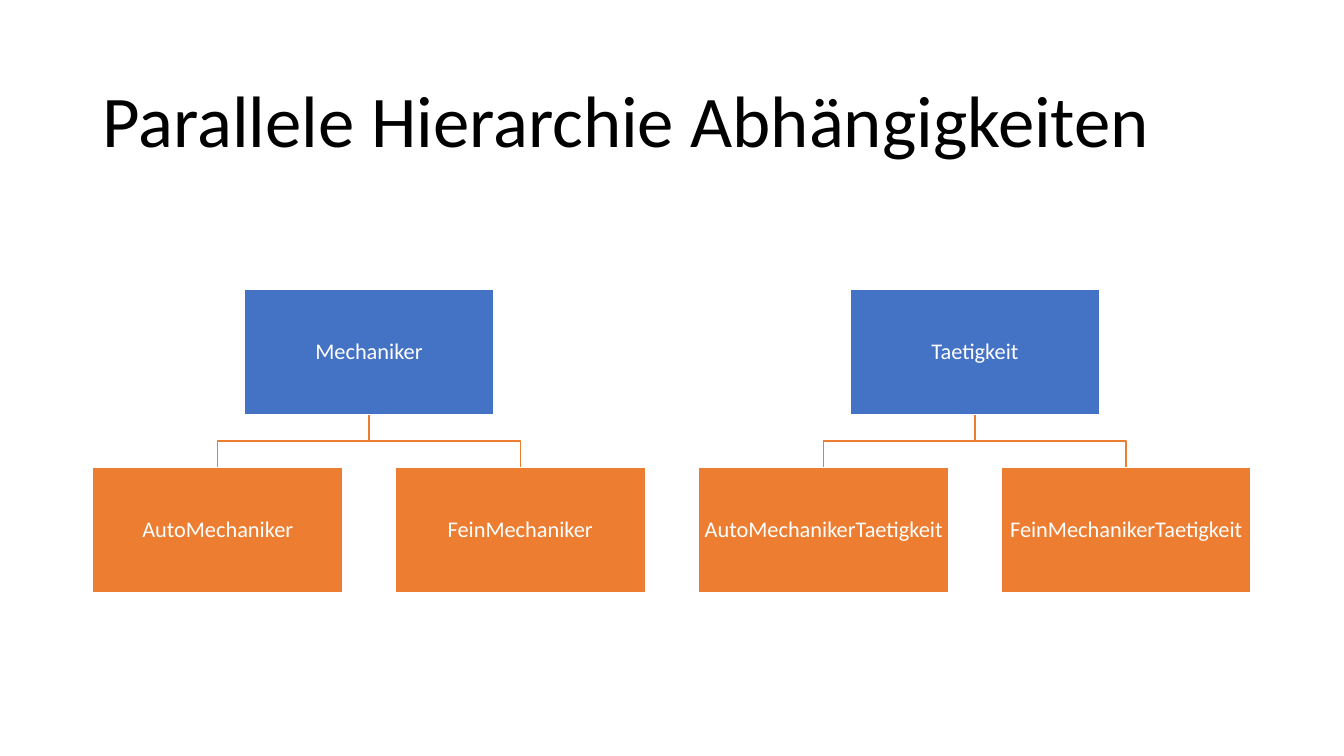
from dataclasses import dataclass

from pptx import Presentation, util as u
from pptx.dml.color import RGBColor
from pptx.enum import shapes, text


@dataclass(frozen=True)
class Theme:
    """Colours, font and type sizes of the slide."""
    font: str = "Calibri"
    title_size: int = 52
    node_size: int = 16
    line_width: int = 1
    black: RGBColor = RGBColor.from_string("000000")
    white: RGBColor = RGBColor.from_string("FFFFFF")
    parent: RGBColor = RGBColor.from_string("4472C4")
    child: RGBColor = RGBColor.from_string("ED7D31")


THEME = Theme()
NODE_WIDTH, NODE_HEIGHT = 2.48, 1.24
TREE_WIDTH, TREE_HEIGHT = 5.48, 3.01
TREE_LEFT, TREE_TOP, TREE_PITCH = 0.92, 2.87, 6.01
TREES = [
    ("Mechaniker", ["AutoMechaniker", "FeinMechaniker"]),
    ("Taetigkeit", ["AutoMechanikerTaetigkeit", "FeinMechanikerTaetigkeit"]),
]


def write(shape, wording, size, color, alignment):
    """Put one vertically centred line of text into a shape."""
    frame = shape.text_frame
    frame.text = wording
    frame.word_wrap = True
    frame.vertical_anchor = text.MSO_ANCHOR.MIDDLE
    paragraph = frame.paragraphs[0]
    paragraph.alignment = alignment
    paragraph.line_spacing = 0.9
    font = paragraph.runs[0].font
    font.name, font.size, font.color.rgb = THEME.font, u.Pt(size), color


def add_title(slide, left, top, width, height, wording):
    """Add the slide heading in the given box."""
    box = slide.shapes.add_textbox(*map(u.Inches, (left, top, width, height)))
    write(box, wording, THEME.title_size, THEME.black, text.PP_ALIGN.LEFT)


def add_node(slide, left, top, wording, fill):
    """Add one labelled class box."""
    node = slide.shapes.add_shape(
        shapes.MSO_SHAPE.RECTANGLE,
        *map(u.Inches, (left, top, NODE_WIDTH, NODE_HEIGHT)))
    node.shadow.inherit = False
    node.fill.solid()
    node.fill.fore_color.rgb = fill
    node.line.color.rgb = THEME.white
    node.line.width = u.Pt(THEME.line_width)
    frame = node.text_frame
    frame.margin_left = frame.margin_right = u.Inches(0.01)
    frame.margin_top = frame.margin_bottom = u.Inches(0.01)
    write(node, wording, THEME.node_size, THEME.white, text.PP_ALIGN.CENTER)


def add_branch(slide, start_x, start_y, end_x, end_y):
    """Add an elbow line that turns halfway down."""
    middle_y = (start_y + end_y) / 2
    points = [(start_x, middle_y), (end_x, middle_y), (end_x, end_y)]
    builder = slide.shapes.build_freeform(u.Inches(start_x), u.Inches(start_y))
    builder.add_line_segments(
        [(u.Inches(x), u.Inches(y)) for x, y in points], close=False)
    branch = builder.convert_to_shape()
    branch.shadow.inherit = False
    branch.fill.background()
    branch.line.color.rgb = THEME.child
    branch.line.width = u.Pt(THEME.line_width)


def add_tree(slide, left, top, width, height, parent, children):
    """Add a parent centred above its evenly spread children."""
    parent_left = left + (width - NODE_WIDTH) / 2
    child_top = top + height - NODE_HEIGHT
    step = (width - NODE_WIDTH) / (len(children) - 1)
    child_lefts = [left + index * step for index in range(len(children))]
    for child_left in child_lefts:
        add_branch(slide, left + width / 2, top + NODE_HEIGHT,
                   child_left + NODE_WIDTH / 2, child_top)
    add_node(slide, parent_left, top, parent, THEME.parent)
    for child_left, child in zip(child_lefts, children):
        add_node(slide, child_left, child_top, child, THEME.child)


def build_slide(presentation):
    """Add the slide with its title and the parallel hierarchies."""
    slide = presentation.slides.add_slide(presentation.slide_layouts[6])
    add_title(slide, 0.92, 0.61, 11.5, 1.24,
              "Parallele Hierarchie Abhängigkeiten")
    for index, (parent, children) in enumerate(TREES):
        add_tree(slide, TREE_LEFT + index * TREE_PITCH, TREE_TOP,
                 TREE_WIDTH, TREE_HEIGHT, parent, children)


presentation = Presentation()
presentation.slide_width = u.Inches(13.33)
presentation.slide_height = u.Inches(7.5)
build_slide(presentation)
presentation.save("out.pptx")
